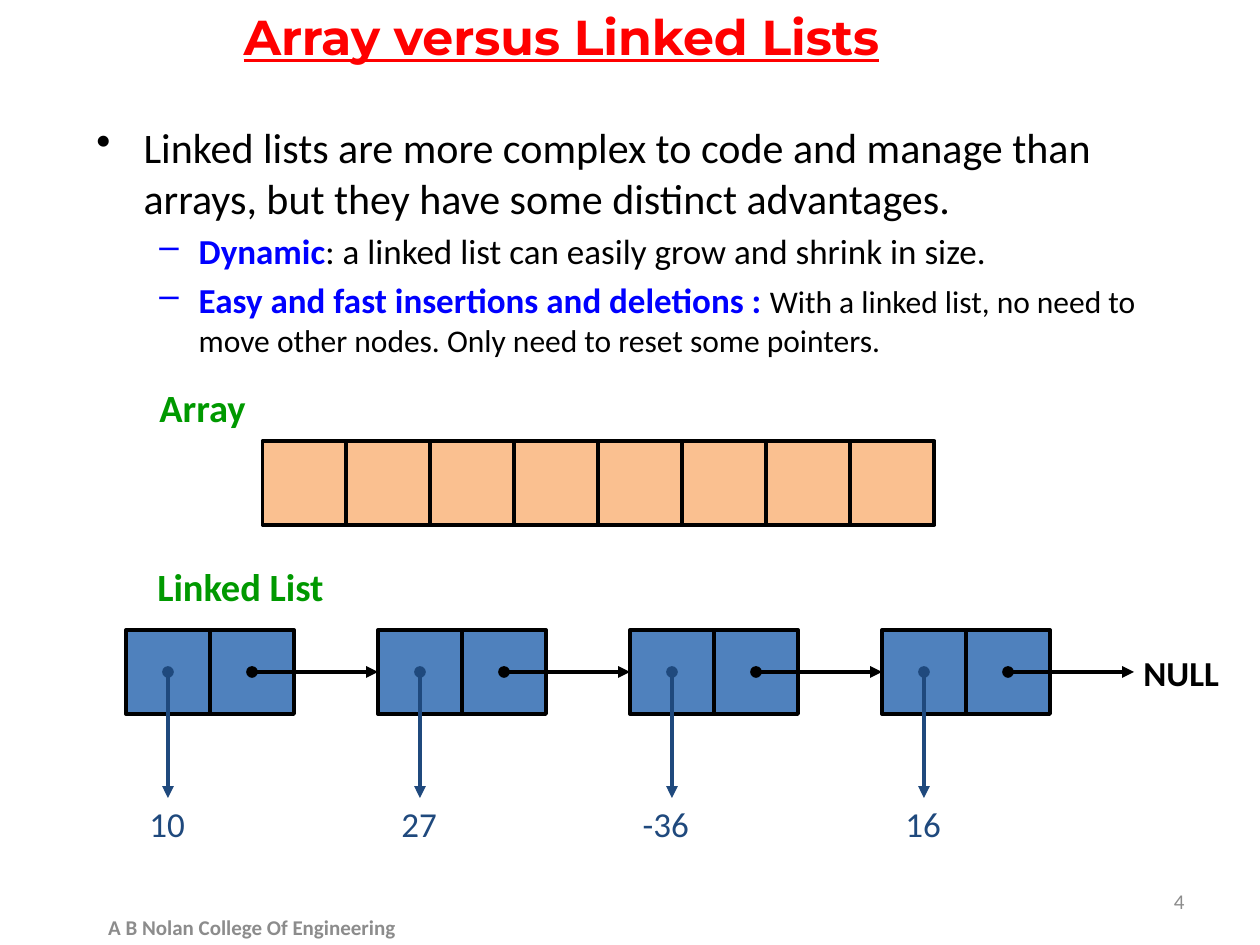
"""Build a slide comparing arrays with linked lists."""
from typing import NamedTuple

from lxml import etree
from pptx import Presentation
from pptx.dml.color import RGBColor
from pptx.enum import shapes, text
from pptx.oxml import ns
from pptx.util import Pt

BLACK = RGBColor(0, 0, 0)
RED = RGBColor(0xFF, 0, 0)
BLUE = RGBColor(0, 0, 0xFF)
GREEN = RGBColor(0, 0x99, 0)
GREY = RGBColor(0x8C, 0x8C, 0x8C)
NAVY = RGBColor(0x1F, 0x49, 0x7D)
NODE_FILL = RGBColor(0x4F, 0x81, 0xBD)
ARRAY_FILL = RGBColor(0xFA, 0xC0, 0x90)

LEFT, CENTER, RIGHT = text.PP_ALIGN.LEFT, text.PP_ALIGN.CENTER, text.PP_ALIGN.RIGHT
CELL = 48
ARRAY_LEFT, ARRAY_TOP, ARRAY_LENGTH = 150, 252, 8
LIST_LEFT, LIST_TOP, NODE_STEP = 72, 360, 144
ARROW_LENGTH = 72


class Label(NamedTuple):
    content: str
    left: float
    top: float
    width: float
    height: float
    size: float
    color: RGBColor
    bold: bool = False
    align: text.PP_ALIGN = LEFT
    anchor: text.MSO_ANCHOR = text.MSO_ANCHOR.TOP


class Span(NamedTuple):
    content: str
    size: float
    color: RGBColor = BLACK
    bold: bool = False


class Bullet(NamedTuple):
    level: int
    mark: str
    margin: float
    hanging: float
    spans: list[Span]


class Value(NamedTuple):
    content: str
    left: float
    width: float


BULLETS = [
    Bullet(0, "•", 27, 27, [
        Span("Linked lists are more complex to code and manage than arrays, "
             "but they have some distinct advantages.", 24)]),
    Bullet(1, "–", 58.5, 22.5, [
        Span("Dynamic", 20, BLUE, True),
        Span(": a linked list can easily grow and shrink in size.", 20)]),
    Bullet(1, "–", 58.5, 22.5, [
        Span("Easy and fast insertions and deletions : ", 20, BLUE, True),
        Span("With a linked list, no need to move other nodes. "
             "Only need to reset some pointers.", 18)]),
]
VALUES = [Value("10", 78, 35), Value("27", 222, 35),
          Value("-36", 360, 41), Value("16", 510, 35)]
MIDDLE = text.MSO_ANCHOR.MIDDLE
LABELS = [
    Label("Array", 84, 216, 65, 34, 22, GREEN, True),
    Label("Linked List", 82.8, 318, 110, 34, 22, GREEN, True),
    Label("NULL", 646, 368.5, 58, 32, 20, BLACK, True, CENTER),
    Label("4", 516, 500.5, 168, 29, 12, GREY, False, RIGHT, MIDDLE),
    Label("A B Nolan College Of Engineering", 48, 515.5, 192, 29, 12, GREY,
          True, CENTER, MIDDLE),
]


def add_label(slide, label: Label) -> None:
    """Add a single-line text box."""
    box = slide.shapes.add_textbox(
        Pt(label.left), Pt(label.top), Pt(label.width), Pt(label.height))
    frame = box.text_frame
    frame.word_wrap = False
    frame.vertical_anchor = label.anchor
    paragraph = frame.paragraphs[0]
    paragraph.text = label.content
    paragraph.alignment = label.align
    font = paragraph.font
    font.name, font.size, font.bold = "Calibri", Pt(label.size), label.bold
    font.color.rgb = label.color


def add_cell(slide, left: float, top: float, fill: RGBColor) -> None:
    """Add one outlined square."""
    shape = slide.shapes.add_shape(
        shapes.MSO_SHAPE.RECTANGLE, Pt(left), Pt(top), Pt(CELL), Pt(CELL))
    shape.shadow.inherit = False
    shape.fill.solid()
    shape.fill.fore_color.rgb = fill
    shape.line.color.rgb = BLACK
    shape.line.width = Pt(2.25)


def add_arrow(slide, x: float, y: float, across: float, down: float,
              color: RGBColor) -> None:
    """Add a pointer that starts at a dot and ends in an arrowhead."""
    arrow = slide.shapes.add_connector(
        shapes.MSO_CONNECTOR.STRAIGHT, Pt(x), Pt(y), Pt(x + across), Pt(y + down))
    arrow.line.color.rgb = color
    arrow.line.width = Pt(2.25)
    line = arrow.line._get_or_add_ln()
    etree.SubElement(line, ns.qn("a:headEnd"), type="oval")
    etree.SubElement(line, ns.qn("a:tailEnd"), type="triangle")
    etree.SubElement(arrow._element.spPr, ns.qn("a:effectLst"))


def add_title(slide) -> None:
    """Place and format the title placeholder."""
    title = slide.shapes.title
    title.left, title.top, title.width, title.height = Pt(132), Pt(0), Pt(408), Pt(41)
    frame = title.text_frame
    frame.text = "Array versus Linked Lists"
    frame.word_wrap = False
    frame.auto_size = text.MSO_AUTO_SIZE.NONE
    frame.vertical_anchor = text.MSO_ANCHOR.TOP
    paragraph = frame.paragraphs[0]
    paragraph.alignment = LEFT
    font = paragraph.font
    font.name, font.size, font.bold, font.underline = "Montserrat", Pt(28), True, True
    font.color.rgb = RED


def add_bullets(slide) -> None:
    """Add the bulleted explanation."""
    box = slide.shapes.add_textbox(Pt(48), Pt(66), Pt(618), Pt(156))
    frame = box.text_frame
    frame.word_wrap = True
    for index, bullet in enumerate(BULLETS):
        paragraph = frame.add_paragraph() if index else frame.paragraphs[0]
        paragraph.level = bullet.level
        paragraph.space_before = Pt(0.2 * bullet.spans[0].size)
        paragraph.font.name = "Calibri"
        properties = paragraph._p.get_or_add_pPr()
        properties.set("marL", str(Pt(bullet.margin)))
        properties.set("indent", str(-Pt(bullet.hanging)))
        mark = etree.Element(ns.qn("a:buChar"), char=bullet.mark)
        properties.find(ns.qn("a:defRPr")).addprevious(mark)
        for span in bullet.spans:
            run = paragraph.add_run()
            run.text = span.content
            run.font.name, run.font.size = "Calibri", Pt(span.size)
            run.font.bold = span.bold
            run.font.color.rgb = span.color


def add_node(slide, left: float, value: Value) -> None:
    """Add a two-cell list node with its pointers and value."""
    for column in range(2):
        add_cell(slide, left + column * CELL, LIST_TOP, NODE_FILL)
    middle = LIST_TOP + CELL / 2
    add_arrow(slide, left + CELL / 2, middle, 0, ARROW_LENGTH, NAVY)
    add_arrow(slide, left + CELL * 1.5, middle, ARROW_LENGTH, 0, BLACK)
    add_label(slide, Label(value.content, value.left, 455, value.width, 32,
                           20, NAVY, align=CENTER))


def main() -> None:
    """Build and save the presentation."""
    presentation = Presentation()
    presentation.slide_width, presentation.slide_height = Pt(720), Pt(540)
    slide = presentation.slides.add_slide(presentation.slide_layouts[5])
    add_title(slide)
    add_bullets(slide)
    for index in range(ARRAY_LENGTH):
        add_cell(slide, ARRAY_LEFT + index * CELL, ARRAY_TOP, ARRAY_FILL)
    for index, value in reversed(list(enumerate(VALUES))):
        add_node(slide, LIST_LEFT + index * NODE_STEP, value)
    for label in LABELS:
        add_label(slide, label)
    presentation.save("out.pptx")


main()
